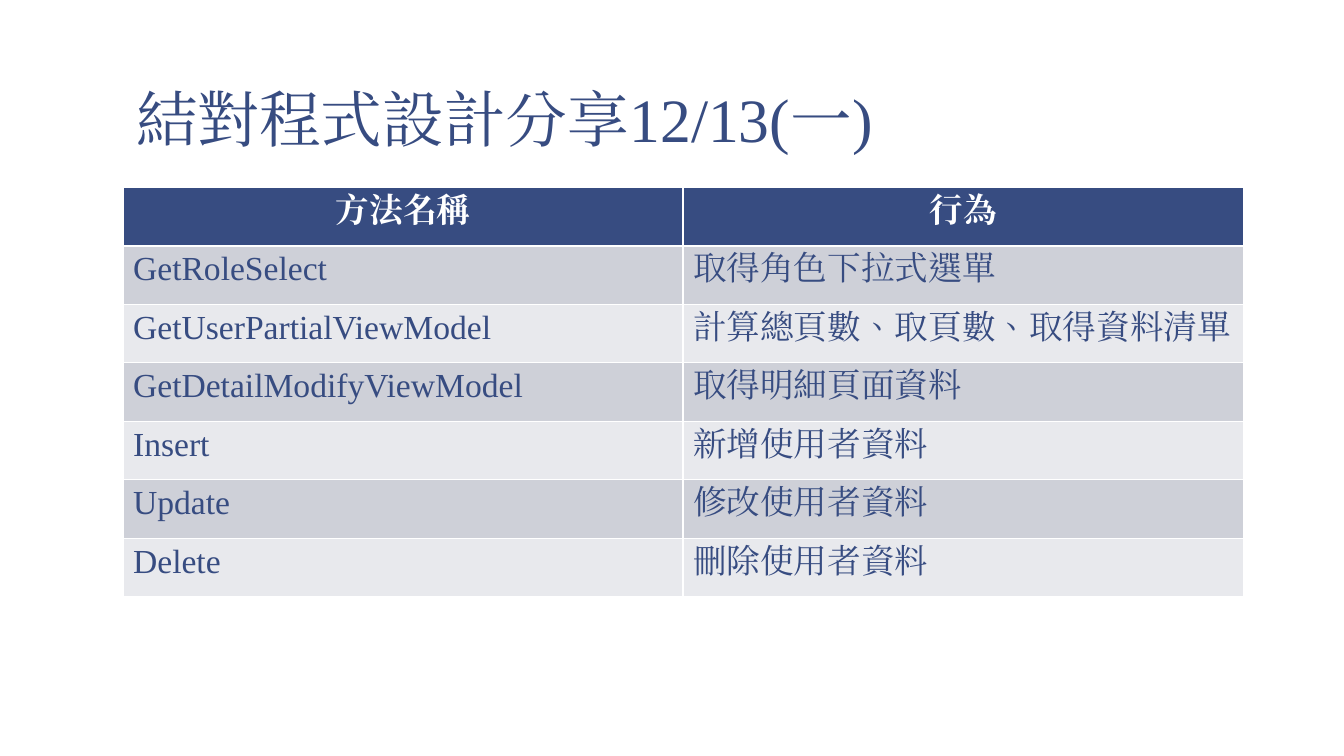
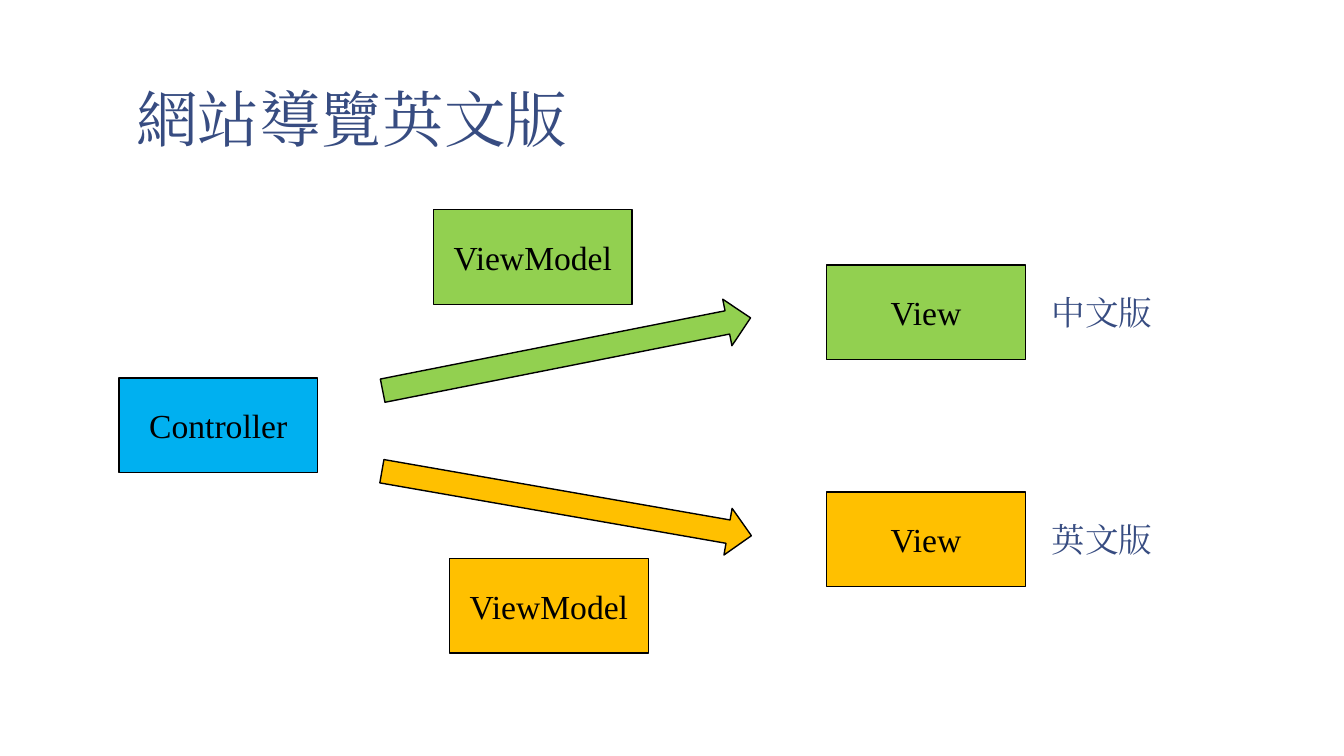
from dataclasses import dataclass
from typing import NamedTuple

from pptx import Presentation
from pptx.dml.color import RGBColor
from pptx.enum.shapes import MSO_SHAPE
from pptx.enum.text import MSO_ANCHOR, PP_ALIGN
from pptx.oxml import parse_xml
from pptx.oxml.ns import nsdecls
from pptx.shapes.autoshape import Shape
from pptx.slide import Slide
from pptx.text.text import TextFrame
from pptx.util import Emu, Pt

EMU_PER_PX = 9144
FONT = "Times New Roman"
NAVY = "374C81"
WHITE = "FFFFFF"
BLACK = "000000"
BLUE = "00B0F0"
GREEN = "92D050"
AMBER = "FFC000"
BANDS = ("CED0D8", "E8E9ED")
BODY_SIZE = 24
TITLE_SIZE = 44
BOX_WIDTH, BOX_HEIGHT = 197, 94
ARROW_WIDTH, ARROW_HEIGHT = 372, 47
LABEL_WIDTH, LABEL_HEIGHT = 134, 50
CONTENT_LEFT, CONTENT_WIDTH = 122, 1111
TABLE_TOP, ROW_HEIGHT = 186, 58


class Method(NamedTuple):
    name: str
    behavior: str


@dataclass(frozen=True)
class Component:
    name: str
    left: int
    top: int
    color: str


@dataclass(frozen=True)
class Flow:
    left: int
    top: int
    angle: float
    color: str


@dataclass(frozen=True)
class Version:
    name: str
    left: int
    top: int


HEADINGS = Method("方法名稱", "行為")
METHODS = (
    Method("GetRoleSelect", "取得角色下拉式選單"),
    Method("GetUserPartialViewModel", "計算總頁數、取頁數、取得資料清單"),
    Method("GetDetailModifyViewModel", "取得明細頁面資料"),
    Method("Insert", "新增使用者資料"),
    Method("Update", "修改使用者資料"),
    Method("Delete", "刪除使用者資料"),
)
COMPONENTS = (
    Component("Controller", 118, 375, BLUE),
    Component("View", 820, 263, GREEN),
    Component("View", 820, 488, AMBER),
    Component("ViewModel", 430, 208, GREEN),
    Component("ViewModel", 446, 554, AMBER),
)
FLOWS = (
    Flow(376, 476, 9.9, AMBER),
    Flow(376, 328, 348.8, GREEN),
)
VERSIONS = (
    Version("中文版", 1026, 285),
    Version("英文版", 1026, 510),
)


def px(length: int) -> Emu:
    return Emu(length * EMU_PER_PX)


def rgb(color: str) -> RGBColor:
    return RGBColor.from_string(color)


def write(frame: TextFrame, text: str, color: str, size: int = BODY_SIZE,
          align: PP_ALIGN = PP_ALIGN.LEFT, bold: bool = False) -> None:
    frame.text = text
    paragraph = frame.paragraphs[0]
    paragraph.alignment = align
    for run in paragraph.runs:
        run.font.name = FONT
        run.font.size = Pt(size)
        run.font.bold = bold
        run.font.color.rgb = rgb(color)
        properties = run.font._element
        properties.set("lang", "zh-TW")
        properties.append(parse_xml(f'<a:ea {nsdecls("a")} typeface="{FONT}"/>'))


def add_title(slide: Slide, text: str) -> None:
    title = slide.shapes.add_textbox(
        px(CONTENT_LEFT), px(8), px(CONTENT_WIDTH), px(153))
    frame = title.text_frame
    frame.word_wrap = True
    frame.vertical_anchor = MSO_ANCHOR.BOTTOM
    frame.margin_left = frame.margin_right = px(13)
    frame.margin_top = frame.margin_bottom = px(7)
    write(frame, text, NAVY, TITLE_SIZE)
    frame.paragraphs[0].line_spacing = 0.85


def add_methods(slide: Slide) -> None:
    rows = (HEADINGS, *METHODS)
    methods = slide.shapes.add_table(
        len(rows), len(HEADINGS), px(CONTENT_LEFT), px(TABLE_TOP),
        px(CONTENT_WIDTH), px(ROW_HEIGHT * len(rows))).table
    for row, method in enumerate(rows):
        heading = row == 0
        fill = NAVY if heading else BANDS[(row - 1) % len(BANDS)]
        for column, text in enumerate(method):
            cell = methods.cell(row, column)
            cell.fill.solid()
            cell.fill.fore_color.rgb = rgb(fill)
            write(cell.text_frame, text, WHITE if heading else NAVY,
                  align=PP_ALIGN.CENTER if heading else PP_ALIGN.LEFT,
                  bold=heading)


def add_outlined(slide: Slide, kind: MSO_SHAPE, left: int, top: int,
                 width: int, height: int, color: str) -> Shape:
    shape = slide.shapes.add_shape(kind, px(left), px(top), px(width), px(height))
    shape.shadow.inherit = False
    shape.fill.solid()
    shape.fill.fore_color.rgb = rgb(color)
    shape.line.color.rgb = rgb(BLACK)
    shape.line.width = Pt(1)
    return shape


def add_component(slide: Slide, component: Component) -> None:
    box = add_outlined(slide, MSO_SHAPE.RECTANGLE, component.left, component.top,
                       BOX_WIDTH, BOX_HEIGHT, component.color)
    box.text_frame.vertical_anchor = MSO_ANCHOR.MIDDLE
    write(box.text_frame, component.name, BLACK, align=PP_ALIGN.CENTER)


def add_flow(slide: Slide, flow: Flow) -> None:
    arrow = add_outlined(slide, MSO_SHAPE.RIGHT_ARROW, flow.left, flow.top,
                         ARROW_WIDTH, ARROW_HEIGHT, flow.color)
    arrow.rotation = flow.angle


def add_version(slide: Slide, version: Version) -> None:
    label = slide.shapes.add_textbox(
        px(version.left), px(version.top), px(LABEL_WIDTH), px(LABEL_HEIGHT))
    label.text_frame.word_wrap = True
    write(label.text_frame, version.name, NAVY, align=PP_ALIGN.CENTER)


def main() -> None:
    deck = Presentation()
    deck.slide_width, deck.slide_height = px(1333), px(750)
    blank = deck.slide_layouts[6]

    sharing = deck.slides.add_slide(blank)
    add_title(sharing, "結對程式設計分享12/13(一)")
    add_methods(sharing)

    navigation = deck.slides.add_slide(blank)
    add_title(navigation, "網站導覽英文版")
    for component in COMPONENTS:
        add_component(navigation, component)
    for flow in FLOWS:
        add_flow(navigation, flow)
    for version in VERSIONS:
        add_version(navigation, version)

    deck.save("out.pptx")


if __name__ == "__main__":
    main()
